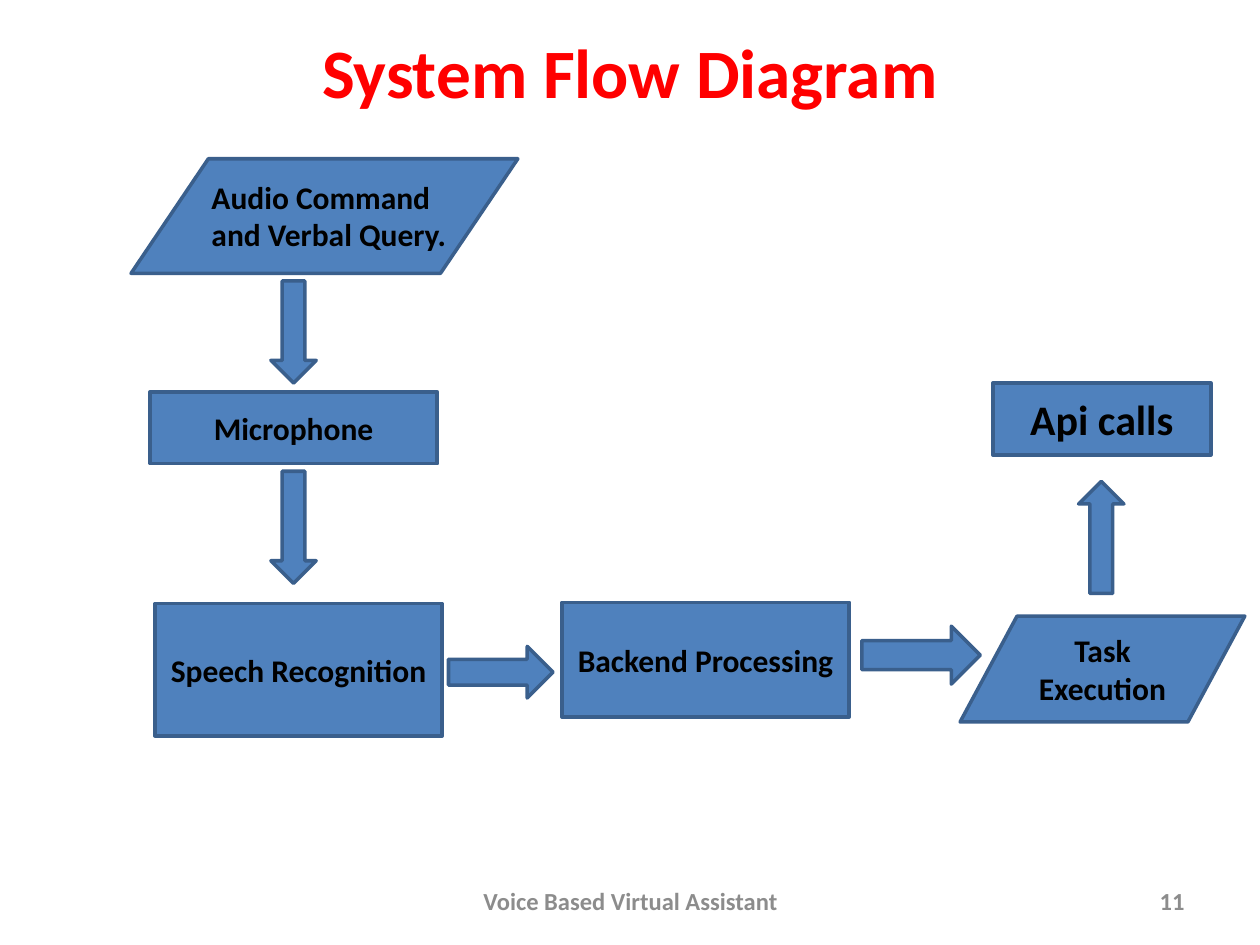
from pptx import Presentation
from pptx import util as u
from pptx.dml import color
from pptx.enum import shapes, text

COLORS = {
    "title": "FF0000",
    "fill": "4F81BD",
    "outline": "3A5F8C",
    "label": "000000",
    "footer": "8C8C8C",
}
SHAPE = shapes.MSO_SHAPE
ALIGN = text.PP_ALIGN
ANCHOR = text.MSO_ANCHOR

STEPS = [
    (SHAPE.FLOWCHART_DATA, (1.04, 1.26, 3.07, 0.91), "", 18),
    (SHAPE.FLOWCHART_PROCESS, (1.19, 3.11, 2.28, 0.57), "Microphone", 18),
    (SHAPE.FLOWCHART_PROCESS, (1.23, 4.79, 2.28, 1.05), "Speech Recognition", 18),
    (SHAPE.FLOWCHART_PROCESS, (4.46, 4.78, 2.28, 0.91), "Backend Processing", 18),
    (SHAPE.FLOWCHART_DATA, (7.62, 4.89, 2.26, 0.84), "Task Execution", 18),
    (SHAPE.FLOWCHART_PROCESS, (7.88, 3.04, 1.73, 0.57), "Api calls", 24),
]
ARROWS = [
    (SHAPE.DOWN_ARROW, (2.15, 2.23, 0.36, 0.81), 0),
    (SHAPE.DOWN_ARROW, (2.15, 3.74, 0.36, 0.89), 0),
    (SHAPE.RIGHT_ARROW, (3.56, 5.13, 0.83, 0.41), 0),
    (SHAPE.RIGHT_ARROW, (6.84, 4.97, 0.94, 0.46), 0),
    (SHAPE.DOWN_ARROW, (8.56, 3.82, 0.36, 0.89), 180),
]


def rgb(name):
    return color.RGBColor.from_string(COLORS[name])


def inches(box):
    return [u.Inches(length) for length in box]


def write(frame, wording, size, tint, align=ALIGN.CENTER, anchor=ANCHOR.MIDDLE):
    frame.word_wrap = True
    frame.vertical_anchor = anchor
    paragraph = frame.paragraphs[0]
    paragraph.text = wording
    paragraph.alignment = align
    paragraph.font.name = "Calibri"
    paragraph.font.size = u.Pt(size)
    paragraph.font.bold = True
    paragraph.font.color.rgb = rgb(tint)


def place_title(slide, box):
    title = slide.shapes.title
    title.left, title.top, title.width, title.height = inches(box)
    write(title.text_frame, "System Flow Diagram", 39.6, "title")


def place_label(slide, box, wording, size, tint, align, anchor=ANCHOR.MIDDLE):
    label = slide.shapes.add_textbox(*inches(box))
    write(label.text_frame, wording, size, tint, align, anchor)


def place_block(slide, kind, box):
    block = slide.shapes.add_shape(kind, *inches(box))
    block.shadow.inherit = False
    block.fill.solid()
    block.fill.fore_color.rgb = rgb("fill")
    block.line.color.rgb = rgb("outline")
    block.line.width = u.Pt(2)
    return block


def place_flow(slide):
    for kind, box, wording, size in STEPS:
        step = place_block(slide, kind, box)
        if wording:
            write(step.text_frame, wording, size, "label")
    for kind, box, angle in ARROWS:
        place_block(slide, kind, box).rotation = angle
    place_label(slide, (1.58, 1.36, 2.29, 0.71), "Audio Command and Verbal Query.",
                18, "label", ALIGN.LEFT, ANCHOR.TOP)


def place_footer(slide, top, height):
    place_label(slide, (3.42, top, 3.17, height), "Voice Based Virtual Assistant",
                14, "footer", ALIGN.CENTER)
    place_label(slide, (7.17, top, 2.33, height), "11", 14, "footer", ALIGN.RIGHT)


def main():
    deck = Presentation()
    deck.slide_width, deck.slide_height = u.Inches(10), u.Inches(7.5)
    slide = deck.slides.add_slide(deck.slide_layouts.get_by_name("Title Only"))
    place_title(slide, (0.5, 0.25, 9, 0.62))
    place_flow(slide)
    place_footer(slide, 6.95, 0.4)
    deck.save("out.pptx")


if __name__ == "__main__":
    main()
